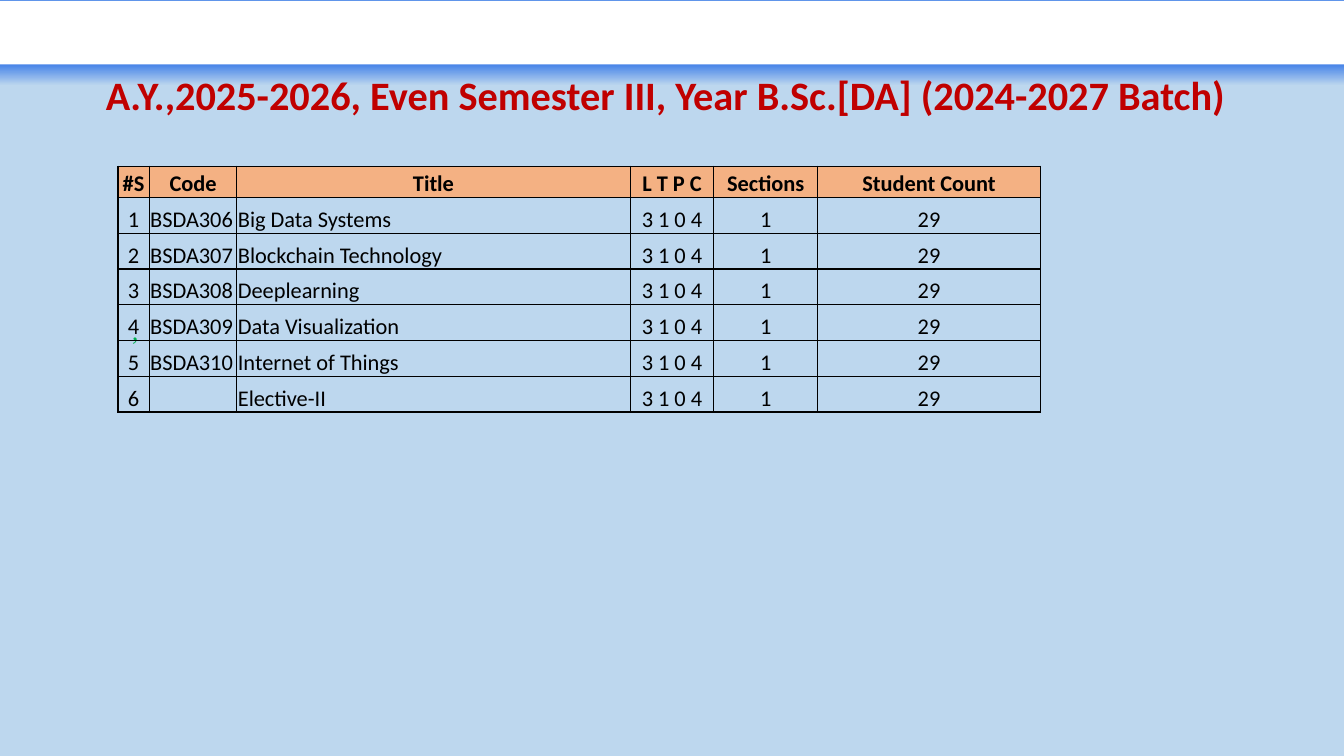
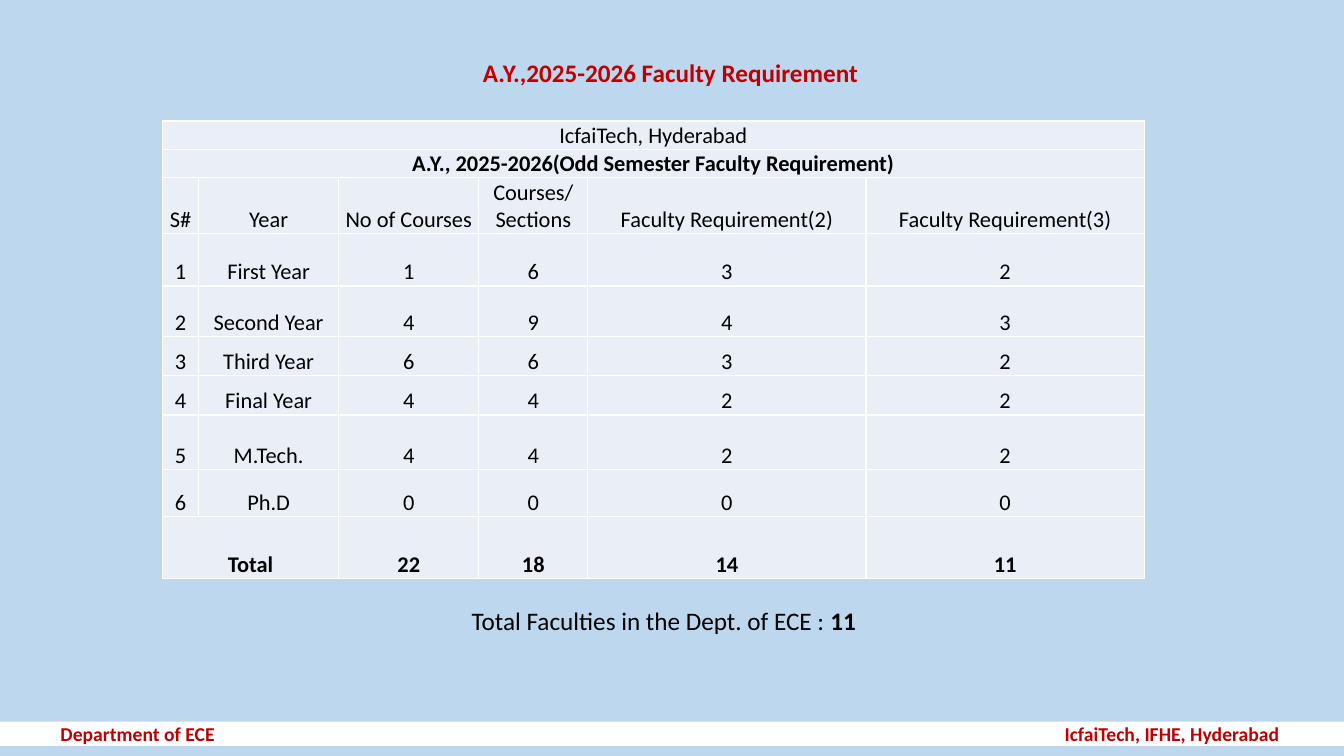
from lxml import etree
from pptx import Presentation
from pptx.dml.color import RGBColor
from pptx.enum import shapes, text
from pptx.oxml import ns
from pptx.util import Inches, Pt

SKY = RGBColor(0xBD, 0xD7, 0xEE)
BLUE = RGBColor(0x4A, 0x86, 0xE8)
RED = RGBColor(0xC0, 0x00, 0x00)
GREEN = RGBColor(0x00, 0xB0, 0x50)
ORANGE = RGBColor(0xF4, 0xB1, 0x83)
PALE = RGBColor(0xEA, 0xEF, 0xF7)
WHITE = RGBColor(0xFF, 0xFF, 0xFF)
BLACK = RGBColor(0x00, 0x00, 0x00)
LEFT, CENTER = text.PP_ALIGN.LEFT, text.PP_ALIGN.CENTER
TOP, MIDDLE, BOTTOM = (text.MSO_ANCHOR.TOP, text.MSO_ANCHOR.MIDDLE,
                       text.MSO_ANCHOR.BOTTOM)
WIDTH, HEIGHT = 13.33, 7.5


class Deck:
    def __init__(self):
        self.prs = Presentation()
        self.prs.slide_width = Inches(WIDTH)
        self.prs.slide_height = Inches(HEIGHT)
        backdrop = self.prs.slide_master.background.fill
        backdrop.solid()
        backdrop.fore_color.rgb = SKY
        self.slide = None

    def style(self, paragraph, size, color=BLACK, bold=False, align=LEFT, font="Calibri"):
        paragraph.alignment = align
        for run in paragraph.runs:
            run.font.name = font
            run.font.size = Pt(size)
            run.font.bold = bold
            run.font.color.rgb = color

    def add_slide(self, heading, box, size, align, anchor):
        self.slide = self.prs.slides.add_slide(self.prs.slide_layouts[5])
        title = self.slide.shapes.title
        title.left, title.top, title.width, title.height = map(Inches, box)
        frame = title.text_frame
        frame.text = heading
        frame.word_wrap = True
        frame.auto_size = text.MSO_AUTO_SIZE.NONE
        frame.vertical_anchor = anchor
        frame.paragraphs[0].line_spacing = 0.9 if size > 20 else 1.0
        self.style(frame.paragraphs[0], size, RED, True, align)

    def band(self, top, height):
        bar = self.slide.shapes.add_shape(
            shapes.MSO_SHAPE.RECTANGLE, 0, Inches(top), Inches(WIDTH), Inches(height))
        bar.shadow.inherit = False
        bar.fill.solid()
        bar.fill.fore_color.rgb = WHITE
        bar.line.fill.background()
        return bar

    def header(self):
        glow = self.band(0, 0.85)
        glow.fill.gradient()
        glow.fill.gradient_angle = 270
        for stop, color, position in zip(glow.fill.gradient_stops, (BLUE, SKY), (0.76, 1)):
            stop.color.rgb = color
            stop.position = position
        self.slide.shapes._spTree.insert(2, glow._element)
        self.band(0.01, 0.63)

    def footer(self, department, institute):
        frame = self.band(7.16, 0.24).text_frame
        frame.margin_left, frame.margin_right = Inches(0.6), Inches(0.5)
        frame.margin_top = frame.margin_bottom = 0
        frame.vertical_anchor = MIDDLE
        line = frame.paragraphs[0]
        line.text = f"{department}\t{institute}"
        stops = etree.SubElement(line._p.get_or_add_pPr(), ns.qn("a:tabLst"))
        etree.SubElement(stops, ns.qn("a:tab"), pos=str(Inches(12.09)), algn="r")
        self.style(line, 14, RED, True)

    def note(self, words, box, size, color=BLACK, font="Calibri", inset=0.1):
        frame = self.slide.shapes.add_textbox(*map(Inches, box)).text_frame
        frame.word_wrap = True
        frame.margin_left = frame.margin_right = Inches(inset)
        frame.margin_top = frame.margin_bottom = Inches(inset / 2)
        line = frame.paragraphs[0]
        line.text = words
        self.style(line, size, color, font=font)
        return line

    def border(self, cell, color):
        properties = cell._tc.get_or_add_tcPr()
        for index, side in enumerate(("a:lnL", "a:lnR", "a:lnT", "a:lnB")):
            edge = etree.Element(ns.qn(side), w=str(Pt(1)))
            solid = etree.SubElement(edge, ns.qn("a:solidFill"))
            etree.SubElement(solid, ns.qn("a:srgbClr"), val=str(color))
            properties.insert(index, edge)

    def table(self, rows, corner, widths, heights, line, fills, bold_rows,
              left_columns=(), merges=()):
        grid = self.slide.shapes.add_table(
            len(rows), len(widths), *map(Inches, (*corner, sum(widths), sum(heights)))).table
        grid.first_row = grid.horz_banding = False
        for column, width in zip(grid.columns, widths):
            column.width = Inches(width)
        for row, height in zip(grid.rows, heights):
            row.height = Inches(height)
        for r, values in enumerate(rows):
            for c, value in enumerate(values):
                cell = grid.cell(r, c)
                cell.text_frame.text = value
                cell.vertical_anchor = BOTTOM
                cell.margin_left = cell.margin_right = cell.margin_top = Inches(0.01)
                cell.margin_bottom = 0
                bold = r in bold_rows
                align = LEFT if c in left_columns and not bold else CENTER
                self.style(cell.text_frame.paragraphs[0], 16, BLACK, bold, align)
                if fills[r] is None:
                    cell.fill.background()
                else:
                    cell.fill.solid()
                    cell.fill.fore_color.rgb = fills[r]
                self.border(cell, line)
        for r, last in merges:
            grid.cell(r, 0).merge(grid.cell(r, last))


def courses(deck):
    deck.add_slide("A.Y.,2025-2026, Even Semester III, Year B.Sc.[DA] (2024-2027 Batch)",
                   (0.04, 0.7, 13.13, 0.54), 28.8, CENTER, MIDDLE)
    deck.header()
    deck.note(",", (1.31, 3.13, 0.3, 0.3), 18, GREEN, "Times New Roman", 0)
    subjects = ["Big Data Systems", "Blockchain Technology", "Deeplearning",
                "Data Visualization", "Internet of Things", "Elective-II"]
    rows = [["#S", "Code", "Title", "L T P C", "Sections", "Student Count"]]
    for number, subject in enumerate(subjects, 1):
        code = "" if subject == "Elective-II" else f"BSDA{305 + number}"
        rows.append([str(number), code, subject, "3 1 0 4", "1", "29"])
    count = len(subjects)
    deck.table(rows, (1.17, 1.65), [0.31, 0.87, 3.9, 0.83, 1.03, 2.21],
               [0.31] + [0.355] * count, BLACK, [ORANGE] + [None] * count,
               bold_rows={0}, left_columns={1, 2})


def faculty(deck):
    deck.add_slide("A.Y.,2025-2026 Faculty Requirement",
                   (4.69, 0.52, 4.2, 0.4), 18, LEFT, TOP)
    blank = [""] * 5
    rows = [
        ["IcfaiTech, Hyderabad", *blank],
        ["A.Y., 2025-2026(Odd Semester Faculty Requirement)", *blank],
        ["S#", "Year", "No of Courses", "Courses/ Sections",
         "Faculty Requirement(2)", "Faculty Requirement(3)"],
        ["1", "First Year", "1", "6", "3", "2"],
        ["2", "Second Year", "4", "9", "4", "3"],
        ["3", "Third Year", "6", "6", "3", "2"],
        ["4", "Final Year", "4", "4", "2", "2"],
        ["5", "M.Tech.", "4", "4", "2", "2"],
        ["6", "Ph.D", "0", "0", "0", "0"],
        ["Total", "", "22", "18", "14", "11"],
    ]
    deck.table(rows, (1.61, 1.2), [0.36, 1.39, 1.39, 1.08, 2.76, 2.76],
               [0.28, 0.28, 0.55, 0.52, 0.5, 0.39, 0.39, 0.54, 0.47, 0.61],
               WHITE, [PALE] * len(rows), bold_rows={1, 9},
               merges=[(0, 5), (1, 5), (9, 1)])
    deck.footer("Department of ECE", "IcfaiTech, IFHE, Hyderabad")
    total = deck.note("Total Faculties in the Dept. of ECE : ", (4.58, 5.96, 4.3, 0.4), 18)
    amount = total.add_run()
    amount.text = "11"
    deck.style(total, 18)
    amount.font.bold = True


def main():
    deck = Deck()
    courses(deck)
    faculty(deck)
    deck.prs.save("out.pptx")


if __name__ == "__main__":
    main()
